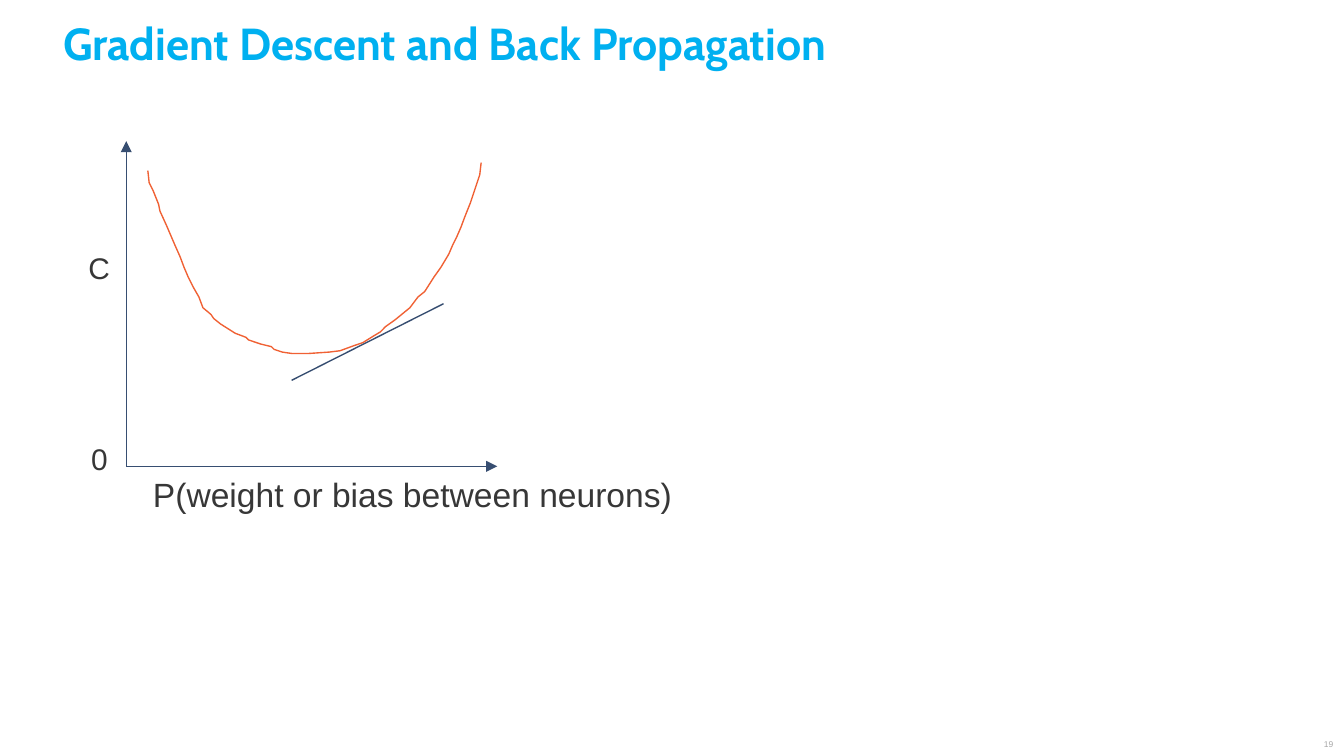
import dataclasses

import pptx
import pptx.dml.color
import pptx.enum.shapes
import pptx.enum.text
import pptx.oxml
import pptx.oxml.ns
import pptx.util

Inches = pptx.util.Inches
Anchor = pptx.enum.text.MSO_ANCHOR
Align = pptx.enum.text.PP_ALIGN


@dataclasses.dataclass(frozen=True)
class Theme:
    heading_font: str = "Cabin"
    body_font: str = "Arial"
    heading_color: str = "00B0F0"
    text_color: str = "373737"
    number_color: str = "A6A6A6"
    axis_color: str = "374E71"
    curve_color: str = "F06134"
    heading_size: float = 24
    axis_title_size: float = 18
    label_size: float = 16
    number_size: float = 4.5
    line_width: float = 0.75


THEME = Theme()
ORIGIN = (0.94, 3.47)
COST_CURVE = [
    (1.1, 1.27), (1.11, 1.36), (1.14, 1.42), (1.18, 1.52), (1.19, 1.57),
    (1.24, 1.68), (1.27, 1.75), (1.3, 1.82), (1.34, 1.91), (1.37, 1.99),
    (1.4, 2.06), (1.44, 2.14), (1.48, 2.21), (1.51, 2.29), (1.57, 2.34),
    (1.59, 2.37), (1.64, 2.41), (1.75, 2.48), (1.83, 2.51), (1.85, 2.53),
    (1.94, 2.56), (2.02, 2.58), (2.04, 2.6), (2.1, 2.62), (2.17, 2.63),
    (2.3, 2.63), (2.45, 2.62), (2.53, 2.61), (2.64, 2.57), (2.7, 2.55),
    (2.78, 2.5), (2.83, 2.47), (2.87, 2.43), (2.94, 2.38), (3.05, 2.29),
    (3.11, 2.21), (3.16, 2.17), (3.23, 2.06), (3.28, 1.99), (3.34, 1.89),
    (3.37, 1.82), (3.4, 1.76), (3.43, 1.69), (3.46, 1.61), (3.5, 1.51),
    (3.53, 1.42), (3.57, 1.3), (3.58, 1.21),
]


def rgb(color):
    return pptx.dml.color.RGBColor.from_string(color)


def drawing_element(tag, attributes=""):
    return pptx.oxml.parse_xml(f'<a:{tag} {pptx.oxml.ns.nsdecls("a")} {attributes}/>')


def place(shape, left, top, width, height):
    shape.left, shape.top = Inches(left), Inches(top)
    shape.width, shape.height = Inches(width), Inches(height)


def write_text(shape, text, *, size, color=THEME.text_color, font=THEME.body_font,
               bold=False, align=Align.LEFT, anchor=Anchor.TOP, wrap=True,
               line_spacing=1.0, space_before=0):
    frame = shape.text_frame
    frame.auto_size = pptx.enum.text.MSO_AUTO_SIZE.NONE
    frame.word_wrap = wrap
    frame.vertical_anchor = anchor
    paragraph = frame.paragraphs[0]
    paragraph.alignment = align
    paragraph.line_spacing = line_spacing
    paragraph.space_before = pptx.util.Pt(space_before)
    run = paragraph.add_run()
    run.text = text
    run.font.name = font
    run.font.size = pptx.util.Pt(size)
    run.font.bold = bold
    run.font.color.rgb = rgb(color)


def add_text(slide, box, text, **text_format):
    shape = slide.shapes.add_textbox(*map(Inches, box))
    write_text(shape, text, **text_format)


def style_line(line, color):
    line.color.rgb = rgb(color)
    line.width = pptx.util.Pt(THEME.line_width)


def add_line(slide, start, end, arrow=False):
    connector = slide.shapes.add_connector(
        pptx.enum.shapes.MSO_CONNECTOR.STRAIGHT, *map(Inches, (*start, *end)))
    style_line(connector.line, THEME.axis_color)
    properties = connector._element.spPr
    if arrow:
        properties.ln.append(drawing_element("tailEnd", 'type="triangle"'))
    properties.append(drawing_element("effectLst"))


def add_curve(slide, points):
    start, *others = [(Inches(x), Inches(y)) for x, y in points]
    builder = slide.shapes.build_freeform(*start)
    builder.add_line_segments(others, close=False)
    curve = builder.convert_to_shape()
    curve.shadow.inherit = False
    curve.fill.background()
    style_line(curve.line, THEME.curve_color)


def main():
    presentation = pptx.Presentation()
    presentation.slide_width = Inches(10)
    presentation.slide_height = Inches(10 * 9 / 16)
    slide = presentation.slides.add_slide(presentation.slide_layouts[5])

    title = slide.shapes.title
    place(title, 0.37, 0.11, 8.15, 0.49)
    write_text(title, "Gradient Descent and Back Propagation", size=THEME.heading_size,
               color=THEME.heading_color, font=THEME.heading_font, bold=True,
               line_spacing=0.9, space_before=12)
    add_text(slide, (7.69, 5.46, 2.33, 0.16), "19", size=THEME.number_size,
             color=THEME.number_color, align=Align.RIGHT, anchor=Anchor.MIDDLE)

    for axis_end in ((ORIGIN[0], 1.05), (3.7, ORIGIN[1])):
        add_line(slide, ORIGIN, axis_end, arrow=True)
    for text, box in (("0", (0.58, 3.26, 0.33, 0.34)), ("C", (0.56, 1.84, 0.36, 0.34))):
        add_text(slide, box, text, size=THEME.label_size, wrap=False,
                 line_spacing=0.9, space_before=12)
    add_text(slide, (1.04, 3.48, 4.1, 0.4), "P(weight or bias between neurons)",
             size=THEME.axis_title_size, wrap=False)

    add_curve(slide, COST_CURVE)
    add_line(slide, (2.17, 2.83), (3.3, 2.26))
    presentation.save("out.pptx")


if __name__ == "__main__":
    main()
